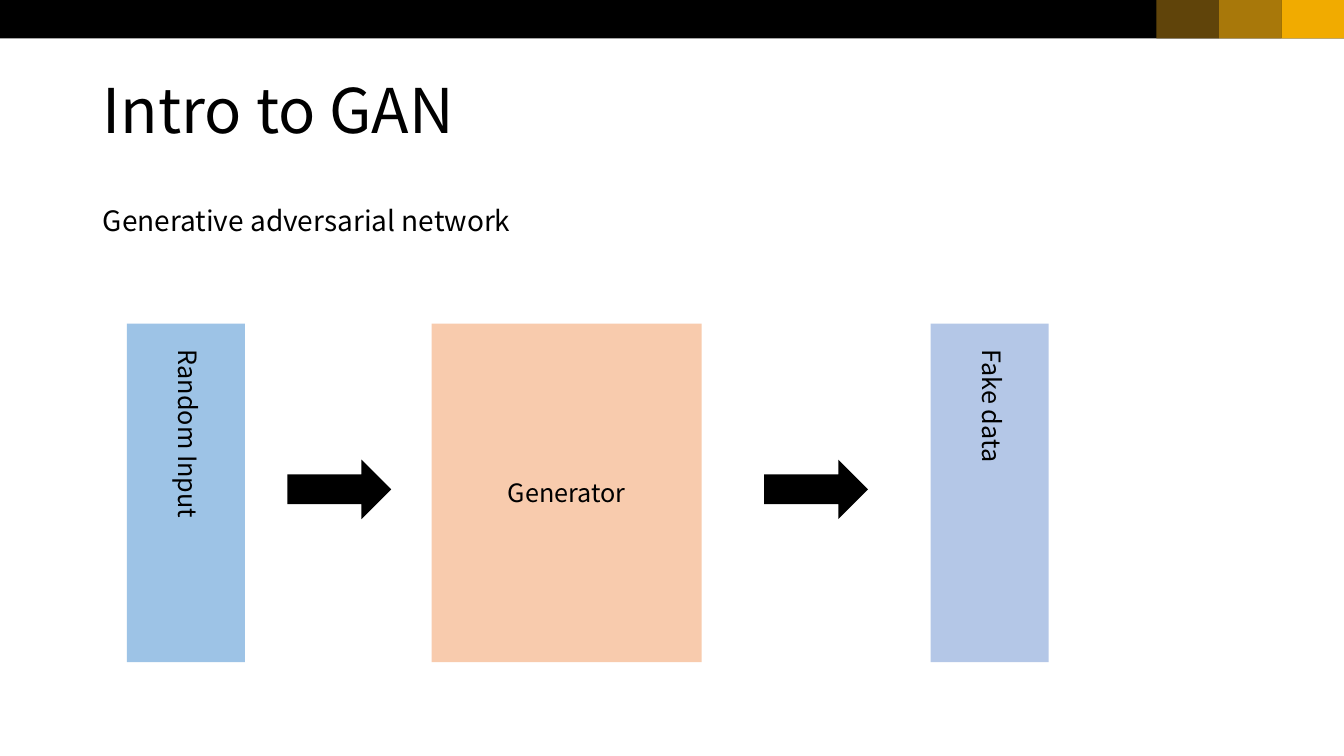
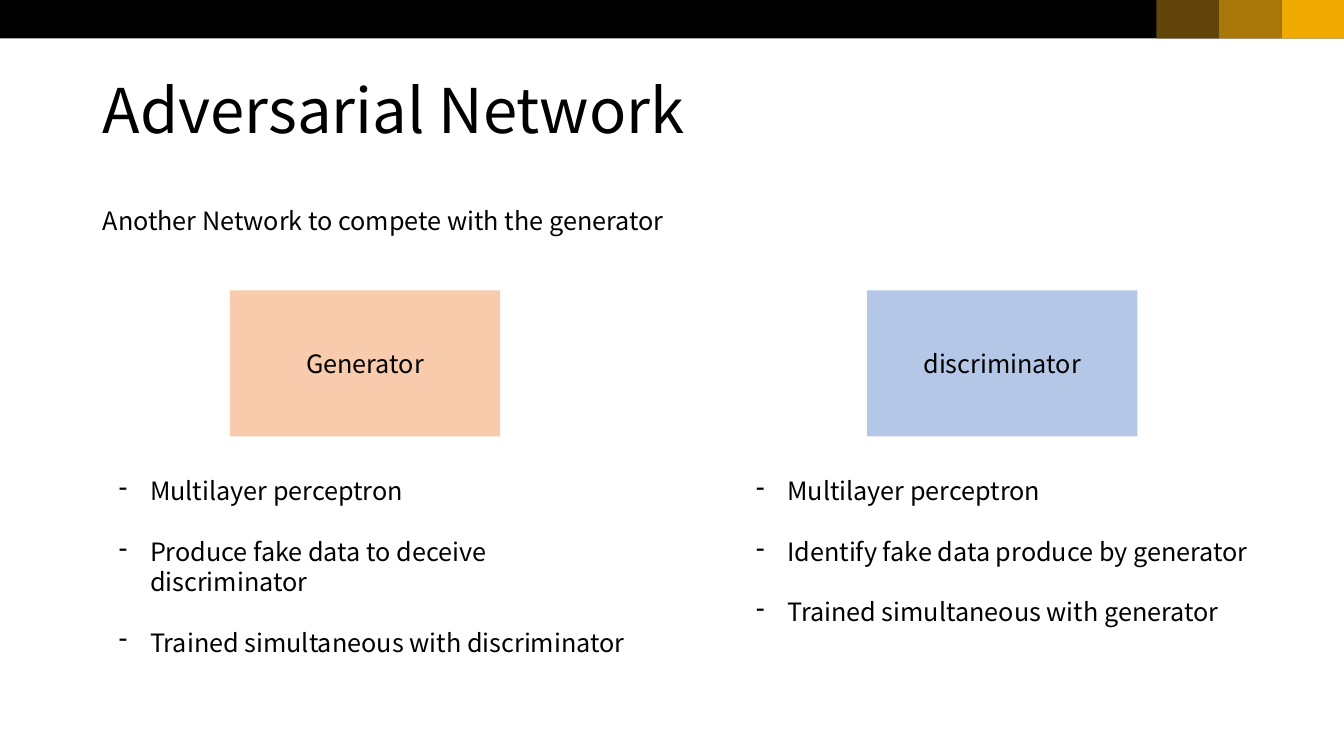
from lxml import etree
from pptx import Presentation
from pptx.dml.color import RGBColor
from pptx.enum import shapes, text
from pptx.oxml.ns import qn
from pptx.util import Inches, Pt

FONT = "Noto Sans CJK SC"
COLORS = {
    "black": "000000",
    "gold": "F1AB00",
    "ochre": "A8780A",
    "brown": "60440A",
    "sky": "9DC3E6",
    "peach": "F8CBAD",
    "periwinkle": "B4C7E7",
}
SLIDE_WIDTH, SLIDE_HEIGHT = 13.33, 7.5
BAND_HEIGHT, BAND_STEP = 0.38, 0.62
RECTANGLE = shapes.MSO_SHAPE.RECTANGLE
ARROW = shapes.MSO_SHAPE.RIGHT_ARROW


def add_block(slide, kind, left, top, width, height, color, label=None):
    shape = slide.shapes.add_shape(
        kind, Inches(left), Inches(top), Inches(width), Inches(height))
    shape.shadow.inherit = False
    shape.fill.solid()
    shape.fill.fore_color.rgb = RGBColor.from_string(COLORS[color])
    shape.line.fill.background()
    if label:
        shape.text_frame.vertical_anchor = text.MSO_ANCHOR.MIDDLE
        paragraph = shape.text_frame.paragraphs[0]
        paragraph.text = label
        paragraph.alignment = text.PP_ALIGN.CENTER
        paragraph.font.name = FONT
        paragraph.font.size = Pt(18)
        paragraph.font.color.rgb = RGBColor.from_string(COLORS["black"])


def add_text(slide, left, top, width, height, lines, size=18):
    box = slide.shapes.add_textbox(
        Inches(left), Inches(top), Inches(width), Inches(height))
    frame = box.text_frame
    frame.word_wrap = True
    for index, line in enumerate(lines):
        paragraph = frame.paragraphs[0] if index == 0 else frame.add_paragraph()
        paragraph.text = line
        paragraph.line_spacing = Pt(size * 1.2)
        paragraph.font.name = FONT
        paragraph.font.size = Pt(size)
        paragraph.font.color.rgb = RGBColor.from_string(COLORS["black"])
    return frame


presentation = Presentation()
presentation.slide_width = Inches(SLIDE_WIDTH)
presentation.slide_height = Inches(SLIDE_HEIGHT)

# Shared frame: top band, title and subtitle
pages = [
    ("Intro to GAN", "Generative adversarial network", 1.97, 20),
    ("Adversarial Network", "Another Network to compete with the generator", 1.99, 18),
]
for heading, subtitle, subtitle_top, subtitle_size in pages:
    slide = presentation.slides.add_slide(presentation.slide_layouts[5])
    add_block(slide, RECTANGLE, 0, 0, SLIDE_WIDTH, BAND_HEIGHT, "black")
    for position, color in enumerate(["gold", "ochre", "brown"], start=1):
        add_block(slide, RECTANGLE, SLIDE_WIDTH - position * BAND_STEP, 0,
                  BAND_STEP, BAND_HEIGHT, color)

    title = slide.shapes.title
    title.left, title.top = Inches(0.92), Inches(0.4)
    title.width, title.height = Inches(11.5), Inches(1.45)
    title.text_frame.vertical_anchor = text.MSO_ANCHOR.MIDDLE
    paragraph = title.text_frame.paragraphs[0]
    paragraph.text = heading
    paragraph.alignment = text.PP_ALIGN.LEFT
    paragraph.line_spacing = 0.9
    paragraph.font.name = FONT
    paragraph.font.size = Pt(44)
    paragraph.font.color.rgb = RGBColor.from_string(COLORS["black"])

    add_text(slide, 0.92, subtitle_top, 5.89, 0.4, [subtitle], subtitle_size)

intro, adversarial = presentation.slides

# Intro: random input, generator, fake data
for left, color, label in [(1.26, "sky", "Random Input"),
                           (9.23, "periwinkle", "Fake data")]:
    add_block(intro, RECTANGLE, left, 3.21, 1.17, 3.36, color)
    frame = add_text(intro, left + 0.34, 3.39, 0.5, 3, [label])
    frame.margin_left = frame.margin_right = Inches(0.08)
    frame.margin_top = frame.margin_bottom = Inches(0.08)
    frame._txBody.bodyPr.set("vert", "eaVert")
add_block(intro, RECTANGLE, 4.28, 3.21, 2.68, 3.36, "peach", "Generator")
for left in (2.85, 7.58):
    add_block(intro, ARROW, left, 4.56, 1.03, 0.59, "black")

# Adversarial network: two competing columns
columns = [
    (1.08, "peach", "Generator", [
        "Multilayer perceptron",
        "Produce fake data to deceive discriminator",
        "Trained simultaneous with discriminator"]),
    (7.4, "periwinkle", "discriminator", [
        "Multilayer perceptron",
        "Identify fake data produce by generator",
        "Trained simultaneous with generator"]),
]
for left, color, label, points in columns:
    add_block(adversarial, RECTANGLE, left + 1.2, 2.88, 2.68, 1.45, color, label)
    frame = add_text(adversarial, left, 4.67, 5.25, 1.92, points)
    for paragraph in frame.paragraphs:
        paragraph.space_after = Pt(21.6)
        properties = paragraph._p.get_or_add_pPr()
        properties.set("marL", str(Inches(0.31)))
        properties.set("indent", str(-Inches(0.31)))
        bullet = etree.Element(qn("a:buChar"), char="-")
        properties.find(qn("a:spcAft")).addnext(bullet)

presentation.save("out.pptx")
